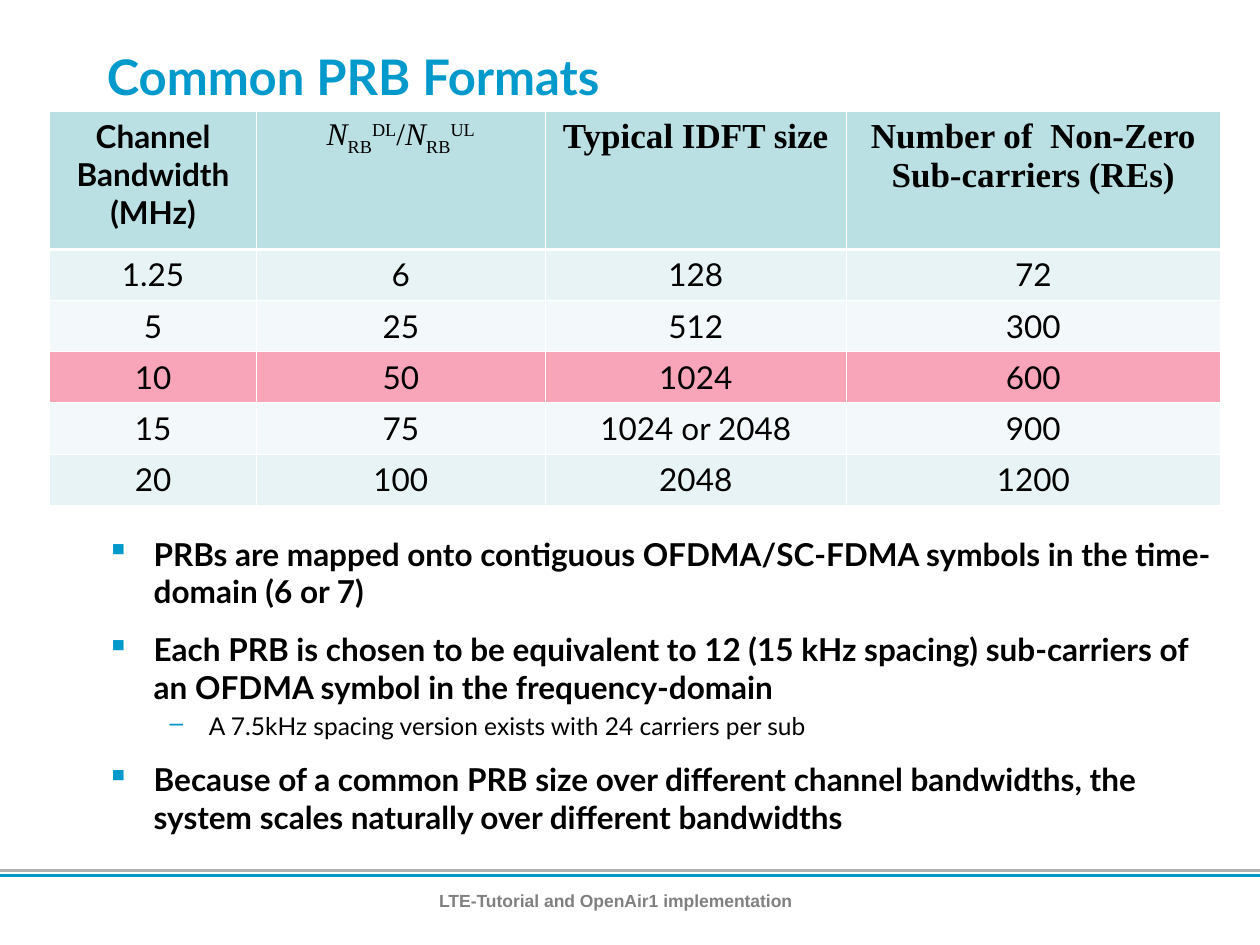
from lxml.etree import SubElement
from pptx import Presentation
from pptx.dml.color import RGBColor
from pptx.enum.shapes import MSO_CONNECTOR
from pptx.enum.text import MSO_ANCHOR, PP_ALIGN
from pptx.oxml.ns import qn
from pptx.util import Cm, Pt

THEME = {
    "blue": "0099CC", "gray": "808080", "rule": "B2B2B2",
    "black": "000000", "white": "FFFFFF",
    "head": "BBE0E3", "tint": "E7F3F4", "pale": "F3F9FA", "pink": "F9A5B9",
    "lato": "Lato", "times": "Times New Roman", "arial": "Arial",
    "title": 28, "big": 20, "text": 18, "sub": 14, "foot": 10,
}

TITLE = "Common PRB Formats"
FOOTER = "LTE-Tutorial and OpenAir1 implementation"
SYMBOL = [("N", "base"), ("RB", "low"), ("DL", "high"), ("/", "plain"),
          ("N", "base"), ("RB", "low"), ("UL", "high")]
HEADS = [
    [("Channel Bandwidth (MHz)", "strong")],
    SYMBOL,
    [("Typical IDFT size", "serif")],
    [("Number of  Non-Zero Sub-carriers (REs)", "serif")],
]
ROWS = [
    ("tint", ["1.25", "6", "128", "72"]),
    ("pale", ["5", "25", "512", "300"]),
    ("pink", ["10", "50", "1024", "600"]),
    ("pale", ["15", "75", "1024 or 2048", "900"]),
    ("tint", ["20", "100", "2048", "1200"]),
]
POINTS = [
    (0, "PRBs are mapped onto contiguous OFDMA/SC-FDMA symbols in the time-domain (6 or 7)"),
    (0, "Each PRB is chosen to be equivalent to 12 (15 kHz spacing) sub-carriers of an OFDMA symbol in the frequency-domain"),
    (1, "A 7.5kHz spacing version exists with 24 carriers per sub"),
    (0, "Because of a common PRB size over different channel bandwidths, the system scales naturally over different bandwidths"),
]

STYLES = {
    "title": ("lato", "title", "blue", {"bold": True}),
    "foot": ("arial", "foot", "gray", {"bold": True}),
    "strong": ("lato", "text", "black", {"bold": True}),
    "cell": ("lato", "text", "black", {"bold": False}),
    "sub": ("lato", "sub", "black", {"bold": False}),
    "serif": ("times", "big", "black", {"bold": True}),
    "plain": ("times", "text", "black", {"bold": False}),
    "base": ("times", "text", "black", {"bold": False, "italic": True}),
    "low": ("times", "text", "black", {"bold": False}),
    "high": ("times", "text", "black", {"bold": False}),
}
SHIFTS = {"low": -25000, "high": 30000}
LEVELS = [
    {"mark": "▪", "style": "strong", "left": 0.95, "hang": 0.95, "gap": 11.2},
    {"mark": "–", "style": "sub", "left": 2.06, "hang": 0.79, "gap": 3.5},
]

WIDTHS = [4.17, 5.82, 6.07, 7.54]
HEIGHTS = [2.79] + [1.03] * len(ROWS)
LINES = [("rule", 17.55), ("blue", 17.65)]
THIN, THICK = 0.45, 1.47


def color(name):
    return RGBColor.from_string(THEME[name])


def write(para, text, style):
    face, size, tone, extra = STYLES[style]
    run = para.add_run()
    run.text = text
    values = {"name": THEME[face], "size": Pt(THEME[size]), **extra}
    for key, value in values.items():
        setattr(run.font, key, value)
    run.font.color.rgb = color(tone)
    if style in SHIFTS:
        run.font._element.set("baseline", str(SHIFTS[style]))


def place(shape, left, top, width, height):
    box = {"left": left, "top": top, "width": width, "height": height}
    for key, value in box.items():
        setattr(shape, key, Cm(value))


def edge(cell, row):
    props = cell._tc.get_or_add_tcPr()
    sides = {"L": THIN, "R": THIN,
             "T": THICK if row == 1 else THIN,
             "B": THICK if row == 0 else THIN}
    for side, width in sides.items():
        line = SubElement(props, qn(f"a:ln{side}"), w=str(int(Pt(width))))
        fill = SubElement(line, qn("a:solidFill"))
        SubElement(fill, qn("a:srgbClr"), val=THEME["white"])


def bullet(para, level):
    props = para._p.get_or_add_pPr()
    props.set("marL", str(Cm(level["left"])))
    props.set("indent", str(-Cm(level["hang"])))
    tone = SubElement(props, qn("a:buClr"))
    SubElement(tone, qn("a:srgbClr"), val=THEME["blue"])
    SubElement(props, qn("a:buChar"), char=level["mark"])


def add_title(slide):
    title = slide.shapes.title
    place(title, 1.9, 0.33, 22.81, 2.41)
    title.text_frame.vertical_anchor = MSO_ANCHOR.MIDDLE
    para = title.text_frame.paragraphs[0]
    para.alignment = PP_ALIGN.LEFT
    write(para, TITLE, "title")


def add_lines(slide, width):
    for tone, top in LINES:
        line = slide.shapes.add_connector(
            MSO_CONNECTOR.STRAIGHT, 0, Cm(top), width, Cm(top))
        line.line.color.rgb = color(tone)
        line.line.width = Pt(1.5)
        SubElement(line._element.spPr, qn("a:effectLst"))


def add_grid(slide):
    data = [("head", HEADS)]
    data += [(tone, [[(text, "cell")] for text in row]) for tone, row in ROWS]
    grid = slide.shapes.add_table(
        len(data), len(WIDTHS), Cm(1), Cm(2.24),
        Cm(sum(WIDTHS)), Cm(sum(HEIGHTS))).table
    for col, width in zip(grid.columns, WIDTHS):
        col.width = Cm(width)
    for row, height in zip(grid.rows, HEIGHTS):
        row.height = Cm(height)
    for r, (tone, cells) in enumerate(data):
        for c, runs in enumerate(cells):
            cell = grid.cell(r, c)
            edge(cell, r)
            cell.fill.solid()
            cell.fill.fore_color.rgb = color(tone)
            para = cell.text_frame.paragraphs[0]
            para.alignment = PP_ALIGN.CENTER
            for text, style in runs:
                write(para, text, style)


def add_box(slide, *area):
    box = slide.shapes.add_textbox(*map(Cm, area))
    box.text_frame.word_wrap = True
    return box.text_frame


def add_points(slide):
    frame = add_box(slide, 1.9, 10.31, 22.81, 7.01)
    frame.vertical_anchor = MSO_ANCHOR.MIDDLE
    for i, (depth, text) in enumerate(POINTS):
        level = LEVELS[depth]
        para = frame.add_paragraph() if i else frame.paragraphs[0]
        para.level = depth
        bullet(para, level)
        para.space_before = Pt(level["gap"] if i else 0)
        write(para, text, level["style"])


def add_footer(slide):
    para = add_box(slide, 5.36, 17.81, 14.1, 1.24).paragraphs[0]
    para.alignment = PP_ALIGN.CENTER
    write(para, FOOTER, "foot")


def main():
    deck = Presentation()
    deck.slide_width, deck.slide_height = Cm(25.4), Cm(19.05)
    slide = deck.slides.add_slide(deck.slide_layouts[5])
    add_lines(slide, deck.slide_width)
    add_title(slide)
    add_points(slide)
    add_footer(slide)
    add_grid(slide)
    deck.save("out.pptx")


if __name__ == "__main__":
    main()
